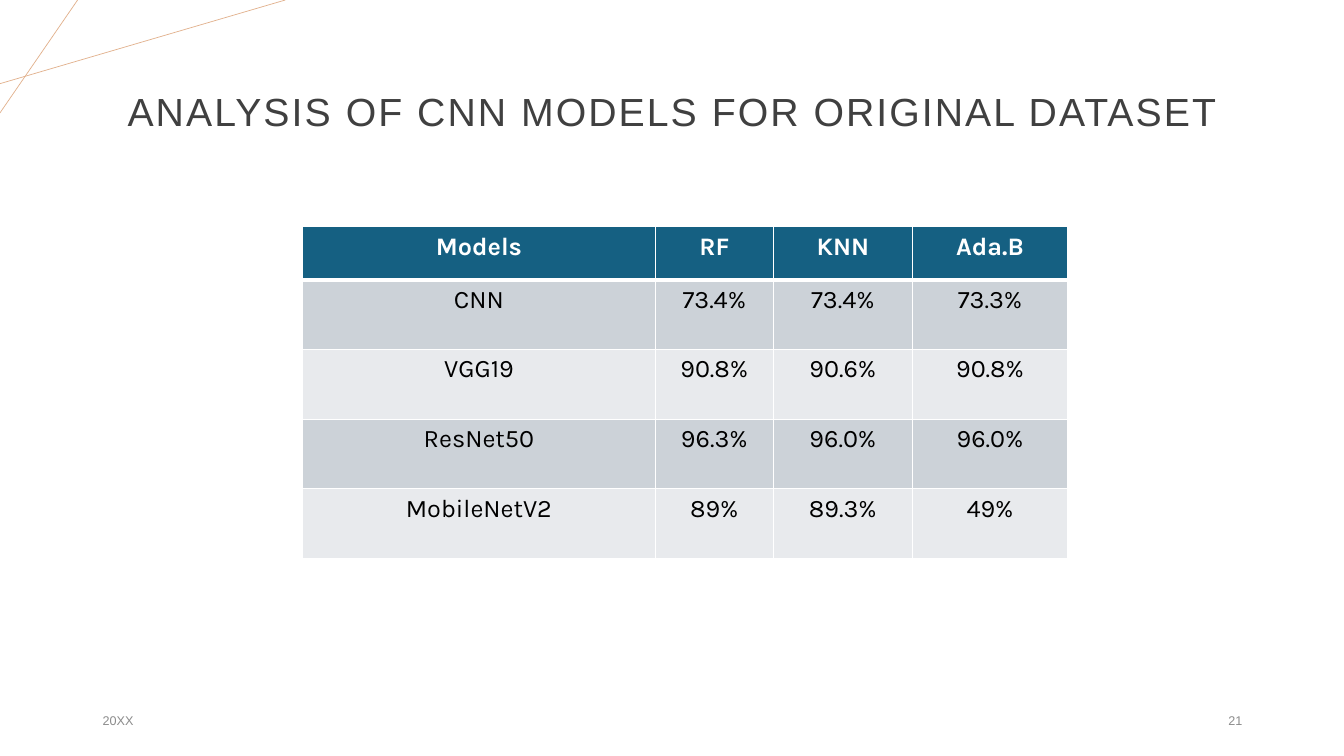
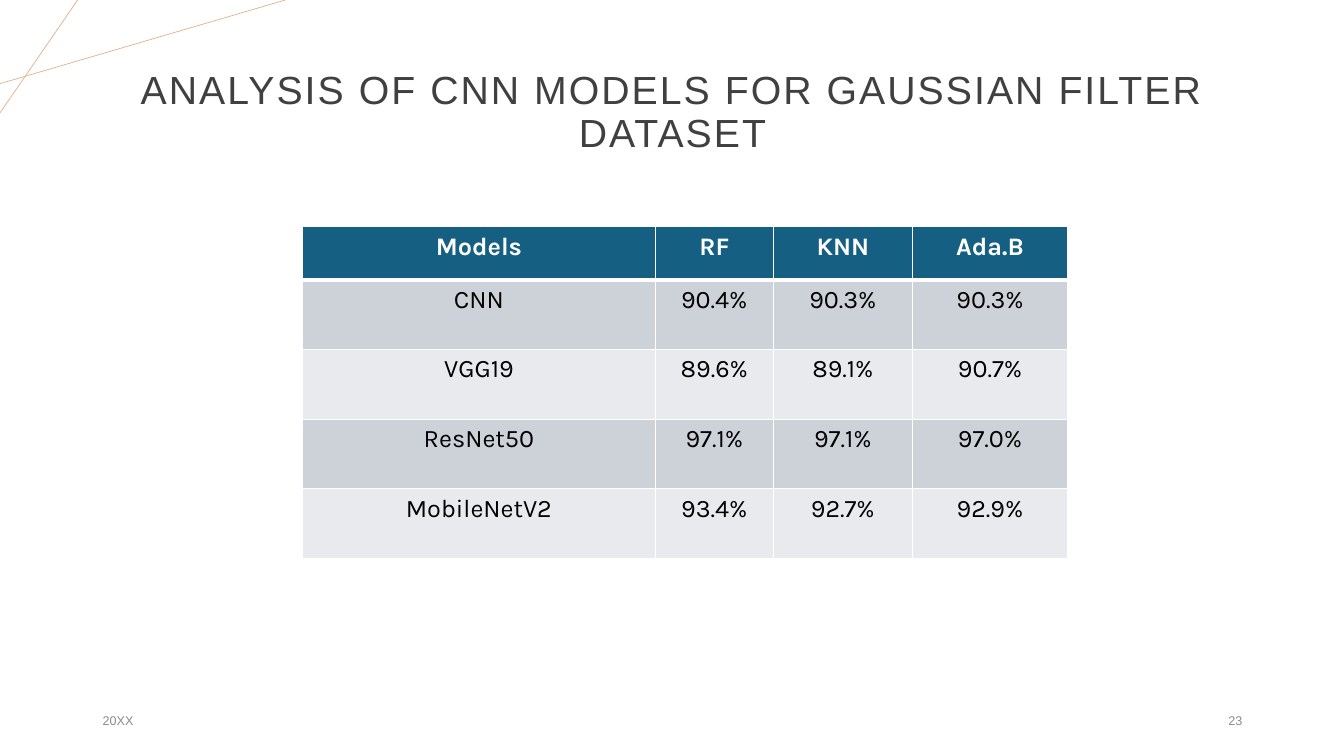
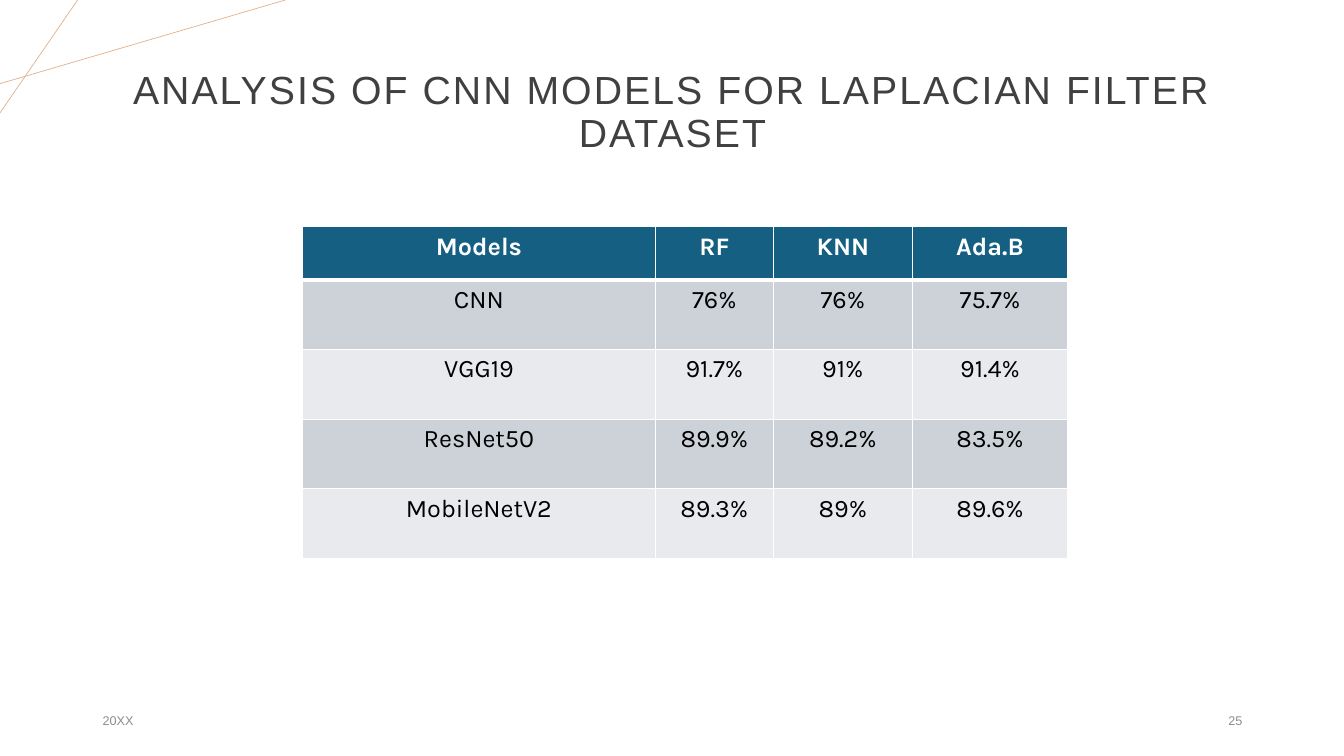
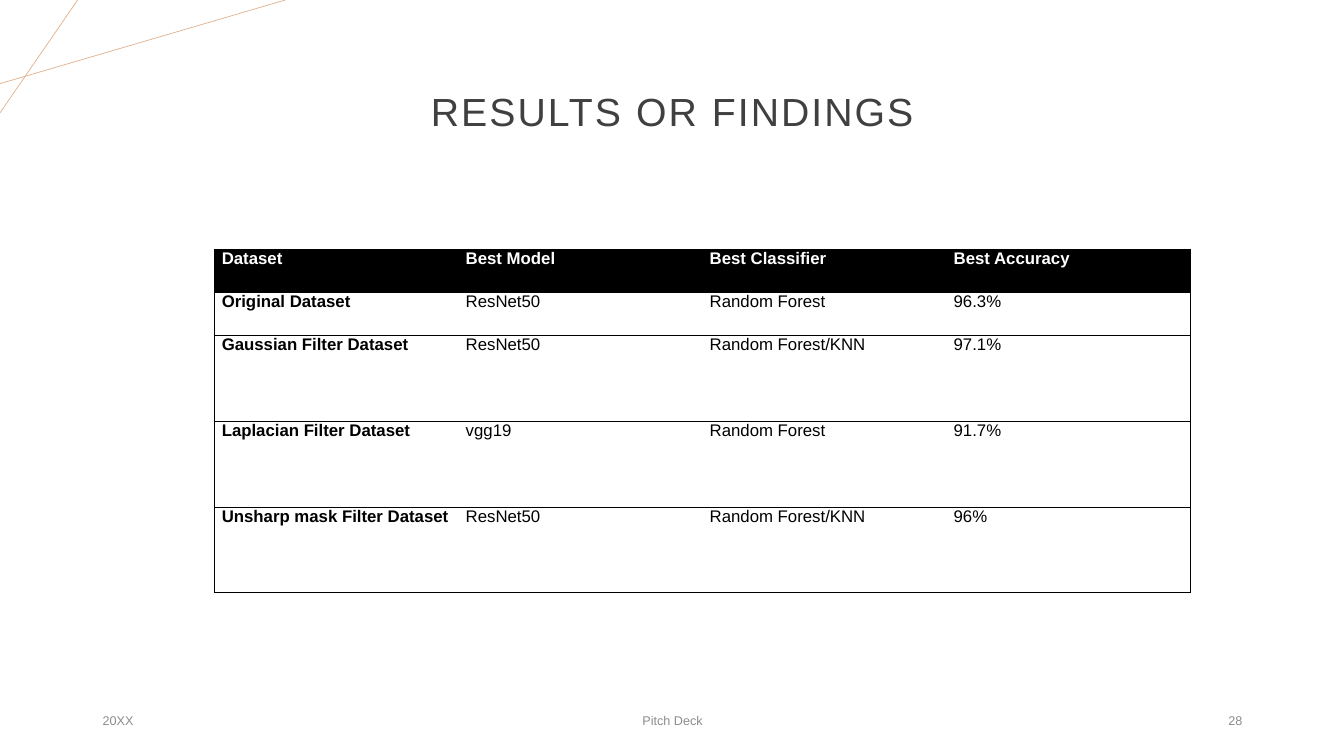
"""Build four slides of accuracy tables for CNN models."""
from lxml import etree
from pptx import Presentation
from pptx.dml.color import RGBColor
from pptx.enum.shapes import MSO_CONNECTOR
from pptx.enum.text import MSO_ANCHOR, PP_ALIGN
from pptx.oxml.ns import qn
from pptx.util import Inches, Pt

STRAIGHT = MSO_CONNECTOR.STRAIGHT
MIDDLE = MSO_ANCHOR.MIDDLE
LEFT, CENTER, RIGHT = PP_ALIGN.LEFT, PP_ALIGN.CENTER, PP_ALIGN.RIGHT

COLORS = {
    "accent": "E2B18D",
    "title": "404040",
    "footer": "8C8C8C",
    "header": "156082",
    "dark band": "CCD2D8",
    "light band": "E8EAED",
    "white": "FFFFFF",
    "black": "000000",
}
CORNER_LINES = [(0, 0.83, 2.83, 0), (0.77, 0, 0, 1.12)]
MODELS = ["CNN", "VGG19", "ResNet50", "MobileNetV2"]
MODEL_HEADER = ["Models", "RF", "KNN", "Ada.B"]
MODEL_WIDTHS = [3.5, 1.17, 1.38, 1.54]
MODEL_HEIGHTS = [0.53] + [0.69] * 4
RESULT_WIDTHS = [2.42] * 4
RESULT_HEIGHTS = [0.43] * 2 + [0.85] * 3

ANALYSES = [
    ("ORIGINAL", 21, [
        ["73.4%", "73.4%", "73.3%"],
        ["90.8%", "90.6%", "90.8%"],
        ["96.3%", "96.0%", "96.0%"],
        ["89%", "89.3%", "49%"],
    ]),
    ("GAUSSIAN FILTER", 23, [
        ["90.4%", "90.3%", "90.3%"],
        ["89.6%", "89.1%", "90.7%"],
        ["97.1%", "97.1%", "97.0%"],
        ["93.4%", "92.7%", "92.9%"],
    ]),
    ("LAPLACIAN FILTER", 25, [
        ["76%", "76%", "75.7%"],
        ["91.7%", "91%", "91.4%"],
        ["89.9%", "89.2%", "83.5%"],
        ["89.3%", "89%", "89.6%"],
    ]),
]
RESULTS = [
    ["Dataset", "Best Model", "Best Classifier", "Best Accuracy"],
    ["Original Dataset", "ResNet50", "Random Forest", "96.3%"],
    ["Gaussian Filter Dataset", "ResNet50", "Random Forest/KNN", "97.1%"],
    ["Laplacian Filter Dataset", "vgg19", "Random Forest", "91.7%"],
    ["Unsharp mask Filter Dataset", "ResNet50", "Random Forest/KNN", "96%"],
]


def write(text_frame, text, size, color, align, font="Arial", bold=False):
    paragraph = text_frame.paragraphs[0]
    paragraph.text = text
    paragraph.alignment = align
    paragraph.font.name = font
    paragraph.font.size = Pt(size)
    paragraph.font.bold = bold
    paragraph.font.color.rgb = RGBColor.from_string(COLORS[color])
    return paragraph


def paint_cell(cell, fill, border_color, border_widths):
    properties = cell._tc.get_or_add_tcPr()
    for side, width in zip("LRTB", border_widths):
        line = etree.SubElement(properties, qn(f"a:ln{side}"), w=str(Pt(width)))
        if width:
            solid = etree.SubElement(line, qn("a:solidFill"))
            etree.SubElement(solid, qn("a:srgbClr"), val=COLORS[border_color])
        else:
            etree.SubElement(line, qn("a:noFill"))
    cell.fill.solid()
    cell.fill.fore_color.rgb = RGBColor.from_string(COLORS[fill])


presentation = Presentation()
presentation.slide_width = Inches(13.33)
presentation.slide_height = Inches(7.5)
blank_layout = presentation.slide_layouts[6]

pages = [
    (f"ANALYSIS OF CNN MODELS FOR {dataset} DATASET", number, "",
     [MODEL_HEADER] + [[model, *scores] for model, scores in zip(MODELS, accuracies)],
     3, 2.25, MODEL_WIDTHS, MODEL_HEIGHTS)
    for dataset, number, accuracies in ANALYSES
]
pages.append(("RESULTS OR FINDINGS", 28, "Pitch Deck", RESULTS,
              2.13, 2.47, RESULT_WIDTHS, RESULT_HEIGHTS))

for title, number, footer, rows, left, top, widths, heights in pages:
    slide = presentation.slides.add_slide(blank_layout)
    for ends in CORNER_LINES:
        line = slide.shapes.add_connector(STRAIGHT, *[Inches(end) for end in ends])
        line.line.color.rgb = RGBColor.from_string(COLORS["accent"])
        line.line.width = Pt(0.5)
        etree.SubElement(line._element.spPr, qn("a:effectLst"))

    labels = [
        (title, 0.92, 0.4, 11.5, 1.45, 28, "title", CENTER),
        ("20XX", 0.92, 6.95, 3, 0.4, 9, "footer", LEFT),
        (footer, 4.42, 6.95, 4.5, 0.4, 9, "footer", CENTER),
        (str(number), 9.42, 6.95, 3, 0.4, 9, "footer", RIGHT),
    ]
    for text, x, y, width, height, size, color, align in labels:
        if not text:
            continue
        box = slide.shapes.add_textbox(Inches(x), Inches(y), Inches(width), Inches(height))
        box.text_frame.word_wrap = True
        box.text_frame.vertical_anchor = MIDDLE
        paragraph = write(box.text_frame, text, size, color, align)
        if text == title:
            paragraph.line_spacing = 0.9
            paragraph.runs[0]._r.get_or_add_rPr().set("spc", "150")

    table = slide.shapes.add_table(
        len(rows), len(widths), Inches(left), Inches(top),
        Inches(sum(widths)), Inches(sum(heights))).table
    table.first_row = False
    table.horz_banding = False
    for column, width in zip(table.columns, widths):
        column.width = Inches(width)
    for row, height in zip(table.rows, heights):
        row.height = Inches(height)

    for row_index, values in enumerate(rows):
        is_header = row_index == 0
        text_color = "white" if is_header else "black"
        for column_index, value in enumerate(values):
            cell = table.cell(row_index, column_index)
            is_first = column_index == 0
            if rows is RESULTS:
                cell.margin_left = cell.margin_right = Inches(0.07)
                cell.margin_top = cell.margin_bottom = 0
                is_last = column_index == len(values) - 1
                borders = (0.5 * is_first, 0.5 * is_last, 0.5, 0.5)
                paint_cell(cell, "black" if is_header else "white", "black", borders)
                write(cell.text_frame, value, 12, text_color, LEFT, bold=is_header or is_first)
            else:
                band = "dark band" if row_index % 2 else "light band"
                borders = (1, 1, 3 if row_index == 1 else 1, 3 if is_header else 1)
                paint_cell(cell, "header" if is_header else band, "white", borders)
                write(cell.text_frame, value, 18, text_color, CENTER, "Karla", is_header)

presentation.save("out.pptx")
